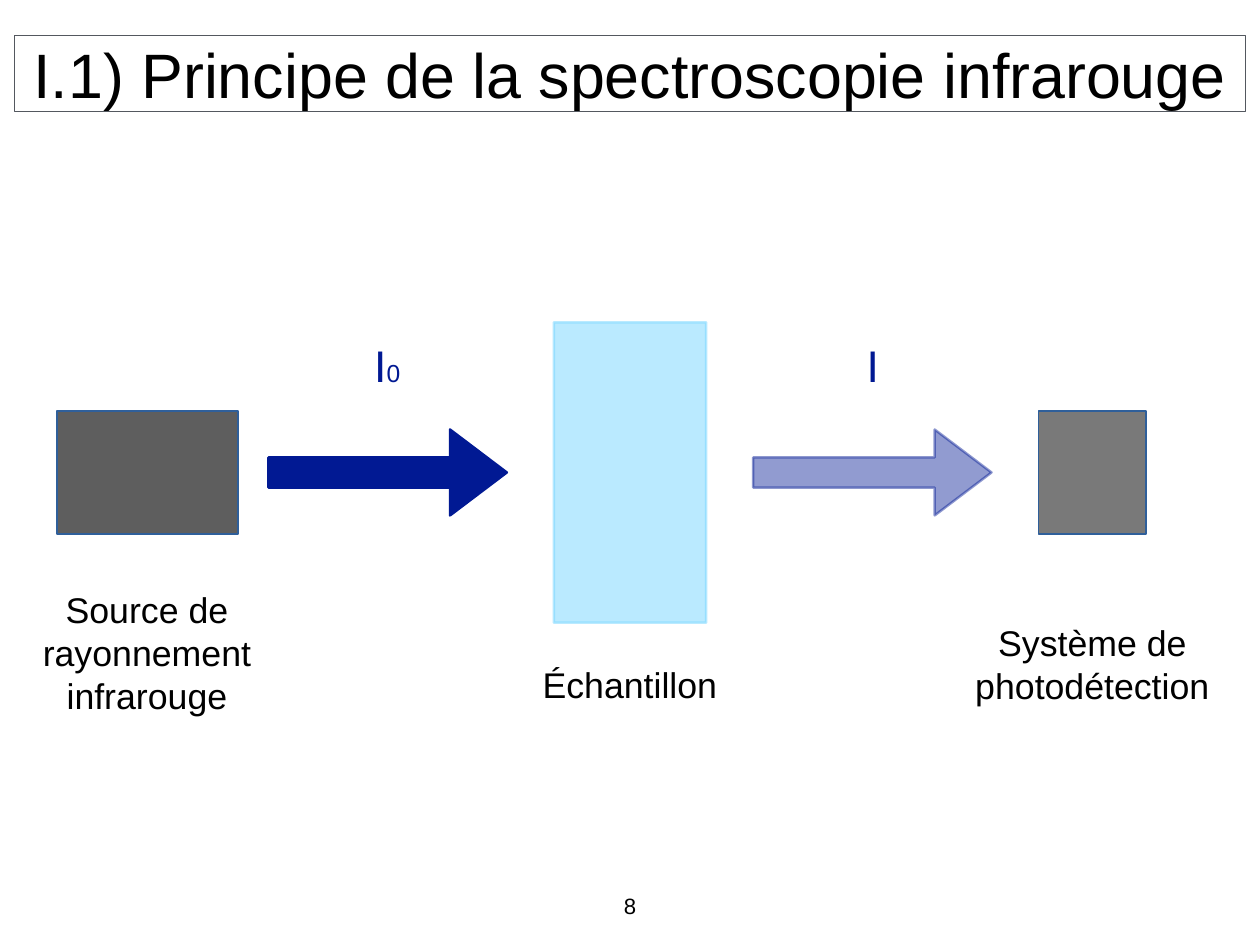
"""Build the slide on the principle of infrared spectroscopy."""
from lxml.etree import SubElement
from pptx import Presentation
from pptx.dml.color import RGBColor
from pptx.enum.shapes import MSO_SHAPE as SHAPE
from pptx.enum.text import MSO_ANCHOR as ANCHOR, PP_ALIGN as ALIGN
from pptx.oxml.ns import qn
from pptx.util import Inches, Pt

COLORS = {
    "text": "000000",
    "frame": "53585F",
    "source": "5E5E5E",
    "detector": "797979",
    "edge": "2F5F9A",
    "beam": "011993",
    "sample": "76D6FF",
}
FONT = "Arial"


def paint(fmt, color, opacity=100):
    """Give a fill a solid colour, with an opacity in percent."""
    fmt.solid()
    fmt.fore_color.rgb = RGBColor.from_string(COLORS[color])
    if opacity < 100:
        for clr in fmt._xPr.iter(qn("a:srgbClr")):
            SubElement(clr, qn("a:alpha")).set("val", str(opacity * 1000))


def add_block(s, kind, box, fill, line, width=2, opacity=100):
    """Add a preset shape with its fill and outline."""
    sp = s.shapes.add_shape(kind, *map(Inches, box))
    sp.shadow.inherit = False
    if fill:
        paint(sp.fill, fill, opacity)
    else:
        sp.fill.background()
    sp.line.width = Pt(width)
    paint(sp.line.fill, line, opacity)
    return sp


def add_arrow(s, left, opacity=100):
    """Add a beam arrow along the optical axis."""
    sp = add_block(s, SHAPE.RIGHT_ARROW, (left, 4.85, 2.69, 0.97),
                   "beam", "beam", opacity=opacity)
    sp.adjustments[0] = 0.352
    sp.adjustments[1] = 0.661


def write(sp, runs, color="text", inset=0.06, anchor=ANCHOR.MIDDLE, wrap=True):
    """Write centred runs, given as (text, size) pairs, in a shape."""
    tf = sp.text_frame
    tf.word_wrap = wrap
    tf.vertical_anchor = anchor
    tf.margin_left = tf.margin_right = Inches(inset)
    tf.margin_top = tf.margin_bottom = Inches(inset)
    p = tf.paragraphs[0]
    p.alignment = ALIGN.CENTER
    for text, size in runs:
        r = p.add_run()
        r.text = text
        r.font.name = FONT
        r.font.size = Pt(size)
        r.font.color.rgb = RGBColor.from_string(COLORS[color])


def add_text(s, box, runs, **style):
    """Add a text box holding centred runs."""
    write(s.shapes.add_textbox(*map(Inches, box)), runs, **style)


def main():
    """Build and save the slide."""
    prs = Presentation()
    prs.slide_width, prs.slide_height = Inches(14.22), Inches(10.67)
    s = prs.slides.add_slide(prs.slide_layouts[6])

    title = add_block(s, SHAPE.RECTANGLE, (0.16, 0.4, 13.9, 0.86),
                      None, "frame", width=1)
    write(title, [("I.1) Principe de la spectroscopie infrarouge", 51)], inset=0)
    add_text(s, (6.98, 10.08, 0.26, 0.31), [("8", 18)],
             inset=0, anchor=ANCHOR.TOP)

    add_block(s, SHAPE.RECTANGLE, (0.64, 4.64, 2.05, 1.39),
              "source", "edge", width=1.5)
    add_arrow(s, 3.03)
    add_block(s, SHAPE.RECTANGLE, (6.25, 3.64, 1.72, 3.39),
              "sample", "sample", opacity=50)
    add_arrow(s, 8.5, opacity=43)
    add_block(s, SHAPE.RECTANGLE, (11.72, 4.64, 1.21, 1.39),
              "detector", "edge", width=1.5)

    for left, width, runs in (
        (4.16, 0.42, [("I", 36), ("0", 20)]),
        (9.72, 0.26, [("I", 36)]),
    ):
        add_text(s, (left, 3.78, width, 0.68), runs, color="beam", wrap=False)

    for left, top, height, label in (
        (0.01, 6.63, 1.47, "Source de rayonnement infrarouge"),
        (10.68, 6.99, 1.01, "Système de photodétection"),
        (5.46, 7.45, 0.56, "Échantillon"),
    ):
        add_text(s, (left, top, 3.3, height), [(label, 29)])

    prs.save("out.pptx")


if __name__ == "__main__":
    main()
